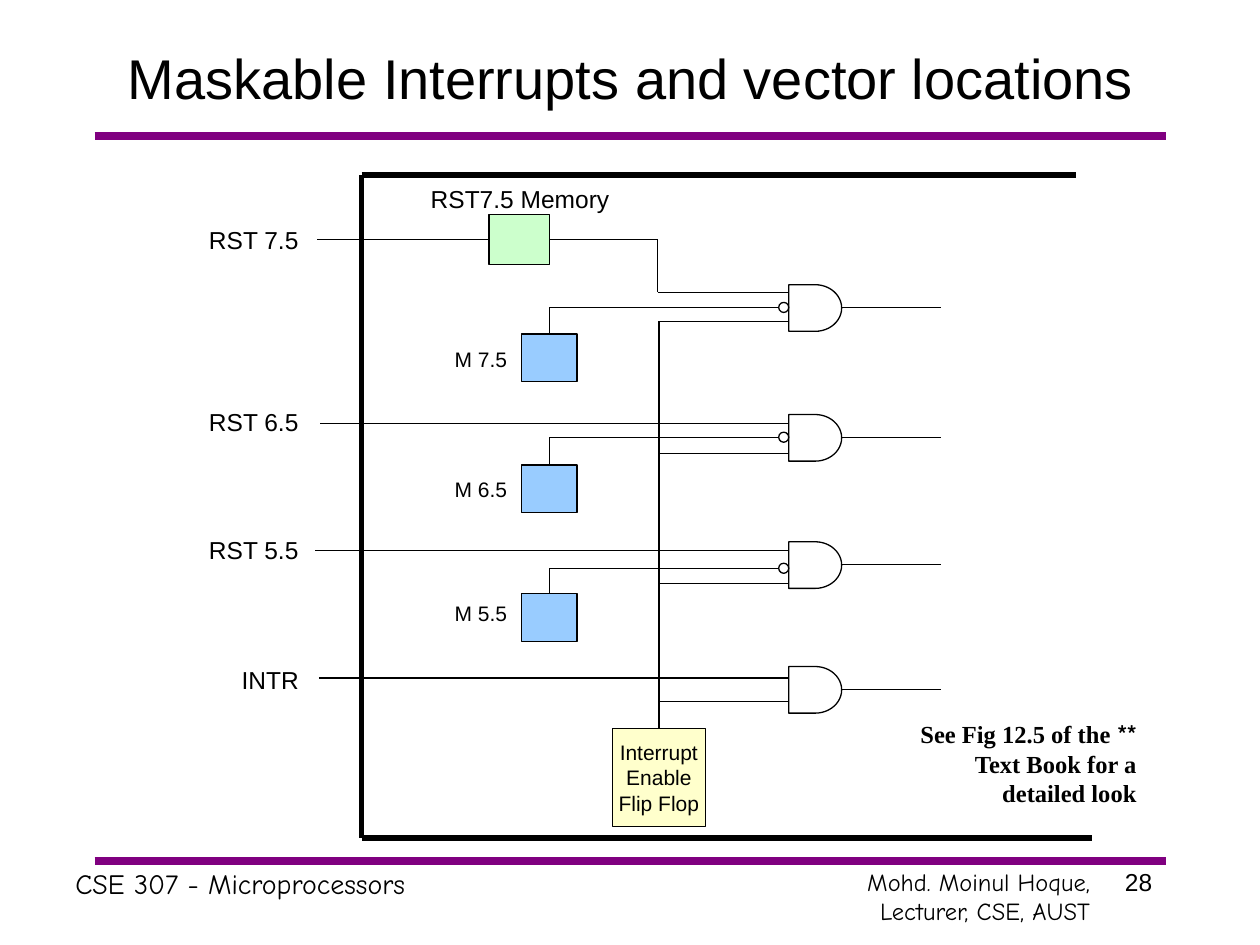
import pptx
import pptx.util
import pptx.dml.color
import pptx.enum.shapes
import pptx.enum.text
import pptx.oxml
import pptx.oxml.ns

Inches, Pt = pptx.util.Inches, pptx.util.Pt
Kind = pptx.enum.shapes.MSO_SHAPE
Align = pptx.enum.text.PP_ALIGN
Anchor = pptx.enum.text.MSO_ANCHOR
RGB = pptx.dml.color.RGBColor.from_string

COLORS = {"ink": "000000", "rule": "800080", "memory": "CCFFCC",
          "mask": "99CCFF", "enable": "FFFFCC"}

deck = pptx.Presentation()
deck.slide_width, deck.slide_height = Inches(10), Inches(7.5)
slide = deck.slides.add_slide(deck.slide_layouts[5])
shapes = slide.shapes


def wire(x1, y1, x2, y2, width=0.75, color="ink"):
    line = shapes.add_connector(pptx.enum.shapes.MSO_CONNECTOR.STRAIGHT,
                                Inches(x1), Inches(y1), Inches(x2), Inches(y2))
    line.line.width = Pt(width)
    line.line.color.rgb = RGB(COLORS[color])
    props = line._element.spPr
    props.append(pptx.oxml.parse_xml(
        "<a:effectLst %s/>" % pptx.oxml.ns.nsdecls("a")))
    return line


def put(kind, x, y, w, h, text="", size=14, fill=None, font="Arial",
        align=Align.LEFT, wrap=False):
    """Add a preset shape, or a plain text box when kind is None."""
    area = Inches(x), Inches(y), Inches(w), Inches(h)
    if kind is None:
        item = shapes.add_textbox(*area)
    else:
        item = shapes.add_shape(kind, *area)
        item.shadow.inherit = False
        item.line.color.rgb = RGB(COLORS["ink"])
        item.line.width = Pt(0.75)
        if fill:
            item.fill.solid()
            item.fill.fore_color.rgb = RGB(COLORS[fill])
        else:
            item.fill.background()
    frame = item.text_frame
    frame.word_wrap = wrap
    frame.text = text
    for para in frame.paragraphs:
        para.alignment = align
        for run in para.runs:
            run.font.size = Pt(size)
            run.font.name = font
            run.font.color.rgb = RGB(COLORS["ink"])
    return item


# Title, rules and footer
title = shapes.title
title.left, title.top = Inches(0.76), Inches(0.24)
title.width, title.height = Inches(8.5), Inches(0.75)
title.text_frame.text = "Maskable Interrupts and vector locations"
title.text_frame.vertical_anchor = Anchor.MIDDLE
head = title.text_frame.paragraphs[0]
head.alignment = Align.CENTER
font = head.runs[0].font
font.size, font.name = Pt(32), "Arial"
font.color.rgb = RGB(COLORS["ink"])

for y in (1.08, 6.83):
    wire(0.75, y, 9.25, y, 4.5, "rule")

put(None, 0.5, 6.83, 5.67, 0.37, "CSE 307 - Microprocessors", 16,
    font="Comic Neue", wrap=True)
put(None, 6.33, 6.83, 2.42, 0.57, "Mohd. Moinul Hoque, Lecturer, CSE, AUST",
    font="Comic Neue", align=Align.RIGHT, wrap=True)
put(None, 8.83, 6.83, 0.53, 0.5, "28", wrap=True)

# Chip outline
wire(2.87, 1.39, 2.87, 6.65, 3)
wire(2.87, 6.65, 8.67, 6.65, 3)
wire(2.87, 1.39, 8.54, 1.39, 3)

# Memory of RST 7.5 and the enable flip flop with its bus
gate_x, bus_x = 6.26, 5.23
store = put(Kind.RECTANGLE, 3.88, 1.7, 0.48, 0.4, fill="memory")
put(None, 3.32, 1.41, 1.7, 0.34, "RST7.5 Memory")
wire(4.36, 1.9, 5.22, 1.9).begin_connect(store, 3)
wire(5.22, 1.9, 5.22, 2.32)
wire(5.22, 2.32, gate_x, 2.32)

flop = put(Kind.RECTANGLE, 4.86, 5.78, 0.74, 0.78,
           "Interrupt\nEnable\nFlip Flop", 12, "enable", align=Align.CENTER)
flop.text_frame.vertical_anchor = Anchor.MIDDLE
wire(bus_x, 5.78, bus_x, 2.55).begin_connect(flop, 0)

# Inputs: name, label left and top, wire start and height, gate, enable
inputs = [("RST 7.5", 1.56, 1.74, 2.52, 1.9, 2.26, 2.55),
          ("RST 6.5", 1.56, 3.18, 2.54, 3.36, 3.29, 3.6),
          ("RST 5.5", 1.56, 4.2, 2.5, 4.37, 4.3, 4.63),
          ("INTR", 1.82, 5.23, 2.53, 5.38, 5.29, 5.57)]
for name, left, top, start, y, gate, enable in inputs:
    put(None, left, top, 2.55 - left, 0.34, name)
    put(Kind.FLOWCHART_DELAY, gate_x, gate, 0.42, 0.37)
    if name == "RST 7.5":
        wire(start, y, 3.88, y).end_connect(store, 1)
    else:
        wire(start, y, gate_x, y)
    wire(bus_x, enable, gate_x, enable)
    wire(6.68, gate + 0.18, 7.47, gate + 0.18)

# Masks: name, label top, box top, wire height
masks = [("M 7.5", 2.7, 2.65, 2.44),
         ("M 6.5", 3.73, 3.69, 3.47),
         ("M 5.5", 4.72, 4.71, 4.51)]
for name, top, box_y, y in masks:
    put(None, 3.51, top, 0.7, 0.3, name, 12)
    box = put(Kind.RECTANGLE, 4.14, box_y, 0.44, 0.38, fill="mask")
    wire(4.36, box_y, 4.36, y).begin_connect(box, 0)
    wire(4.36, y, 6.18, y)
    put(Kind.OVAL, 6.18, y - 0.04, 0.08, 0.08)

# Note, set from right to left so that the stars stand at the right
note = put(None, 6.95, 5.66, 2.17, 0.8,
           "** See Fig 12.5 of the Text Book for a detailed look",
           font="Times New Roman", align=Align.RIGHT, wrap=True)
para = note.text_frame.paragraphs[0]
para.runs[0].font.bold = True
para._p.get_or_add_pPr().set("rtl", "1")

deck.save("out.pptx")
